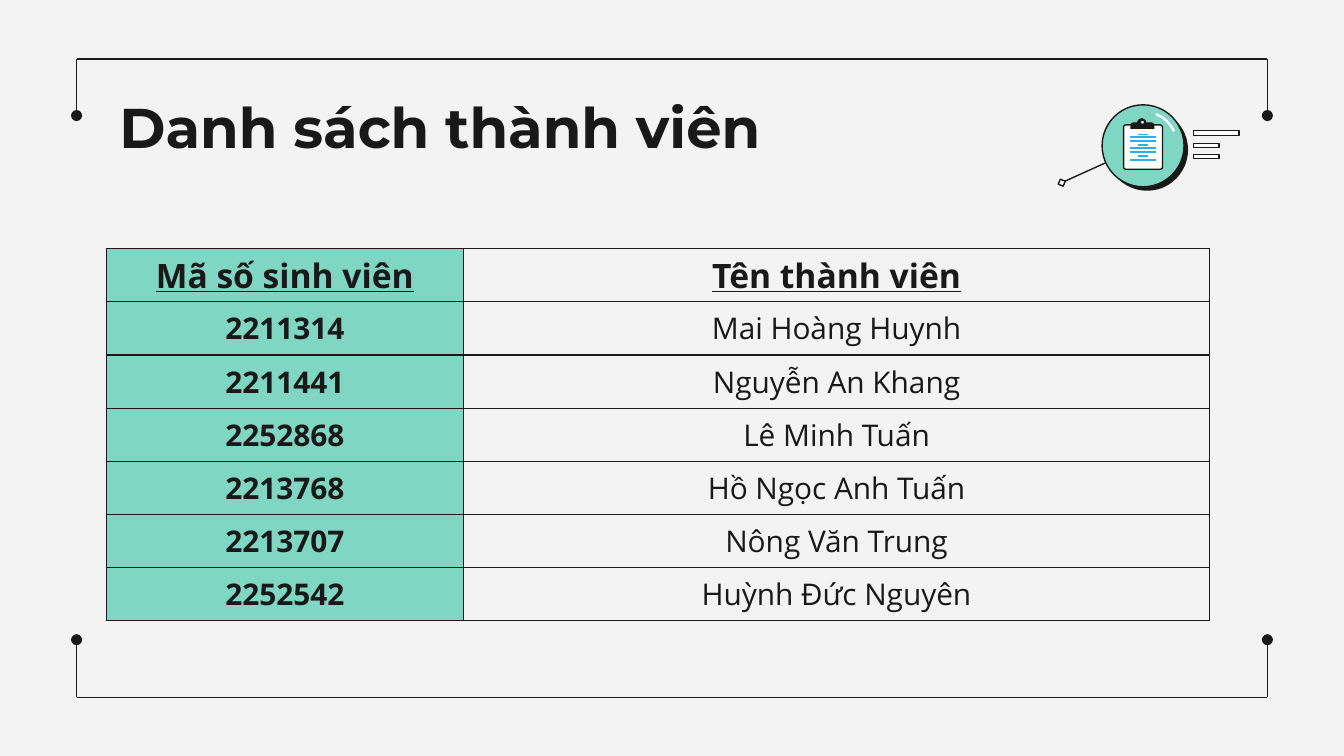
from lxml import etree
from pptx import Presentation
from pptx.dml.color import RGBColor
from pptx.enum.shapes import MSO_CONNECTOR, MSO_SHAPE
from pptx.enum.text import MSO_ANCHOR, PP_ALIGN
from pptx.oxml.ns import qn
from pptx.util import Inches, Pt

STRAIGHT = MSO_CONNECTOR.STRAIGHT
OVAL, RECT, ARC = MSO_SHAPE.OVAL, MSO_SHAPE.RECTANGLE, MSO_SHAPE.ARC
ROUNDED, CLASP = MSO_SHAPE.ROUNDED_RECTANGLE, MSO_SHAPE.ROUND_2_SAME_RECTANGLE
MIDDLE, CENTER = MSO_ANCHOR.MIDDLE, PP_ALIGN.CENTER

SLIDE_SIZE = (10, 10 * 9 / 16)
INK, MINT, PAPER, WHITE, BLUE = "191919", "7FD6C3", "F3F3F3", "FFFFFF", "2AAFEB"
TITLE = "Danh sách thành viên"
ROWS = [
    ("Mã số sinh viên", "Tên thành viên"),
    ("2211314", "Mai Hoàng Huynh"),
    ("2211441", "Nguyễn An Khang"),
    ("2252868", "Lê Minh Tuấn"),
    ("2213768", "Hồ Ngọc Anh Tuấn"),
    ("2213707", "Nông Văn Trung"),
    ("2252542", "Huỳnh Đức Nguyên"),
]
TABLE_BOX = (0.79, 1.85, 8.21, 2.77)
COLUMN_WIDTHS = (2.66, 5.55)
FRAME_LEFT, FRAME_RIGHT = 0.57, 9.43
FRAME_ENDS = [(0.44, 0.86), (5.19, 4.76)]
ICON_PARTS = [
    (RECT, (8.88, 0.97, 0.34, 0.04), WHITE, INK, 0),
    (RECT, (8.88, 1.07, 0.19, 0.03), WHITE, INK, 0),
    (RECT, (8.88, 1.15, 0.19, 0.03), WHITE, INK, 0),
    (RECT, (7.88, 1.34, 0.04, 0.04), WHITE, INK, 23),
    (OVAL, (8.23, 0.81, 0.61, 0.61), INK, None, 0),
    (OVAL, (8.2, 0.78, 0.61, 0.61), MINT, INK, 0),
    (ROUNDED, (8.36, 0.93, 0.29, 0.33), WHITE, INK, 0),
    (CLASP, (8.41, 0.91, 0.18, 0.05), INK, None, 0),
    (OVAL, (8.46, 0.88, 0.07, 0.07), INK, None, 0),
    (OVAL, (8.49, 0.9, 0.02, 0.02), WHITE, None, 0),
]
WIDE, NARROW = (8.41, 8.6), (8.47, 8.54)
CLIPBOARD_LINES = [
    (1.0, NARROW), (1.02, WIDE), (1.05, WIDE), (1.08, NARROW),
    (1.1, WIDE), (1.13, WIDE), (1.16, NARROW), (1.19, WIDE),
]


def color(value):
    return RGBColor.from_string(value)


def lengths(values):
    return [Inches(value) for value in values]


def add_line(page, start, end, ink=INK, dot=False):
    line = page.shapes.add_connector(STRAIGHT, *lengths(start + end))
    line.line.color.rgb = color(ink)
    line.line.width = Pt(0.75)
    if dot:
        etree.SubElement(line.line._get_or_add_ln(), qn("a:tailEnd"), type="oval")
    etree.SubElement(line._element.spPr, qn("a:effectLst"))


def add_part(page, kind, box, fill, outline, turn=0, width=0.75):
    part = page.shapes.add_shape(kind, *lengths(box))
    part.shadow.inherit = False
    part.rotation = turn
    if fill:
        part.fill.solid()
        part.fill.fore_color.rgb = color(fill)
    else:
        part.fill.background()
    if outline:
        part.line.color.rgb = color(outline)
        part.line.width = Pt(width)
    else:
        part.line.fill.background()
    return part


def write(para, text, font, **formats):
    span = para.add_run()
    span.text = text
    span.font.color.rgb = color(INK)
    for name, value in dict(name=font, **formats).items():
        setattr(span.font, name, value)


def add_borders(cell):
    properties = cell._tc.get_or_add_tcPr()
    for index, side in enumerate(("lnL", "lnR", "lnT", "lnB")):
        border = etree.Element(qn(f"a:{side}"), w=str(Pt(0.75)))
        fill = etree.SubElement(border, qn("a:solidFill"))
        etree.SubElement(fill, qn("a:srgbClr"), val=INK)
        properties.insert(index, border)


def add_members(page):
    table = page.shapes.add_table(len(ROWS), 2, *lengths(TABLE_BOX)).table
    for column, width in zip(table.columns, COLUMN_WIDTHS):
        column.width = Inches(width)
    for r, row in enumerate(ROWS):
        for c, text in enumerate(row):
            cell = table.cell(r, c)
            cell.margin_top = cell.margin_bottom = 0
            cell.vertical_anchor = MIDDLE
            if c == 0:
                cell.fill.solid()
                cell.fill.fore_color.rgb = color(MINT)
            else:
                cell.fill.background()
            add_borders(cell)
            para = cell.text_frame.paragraphs[0]
            para.alignment = CENTER
            header = r == 0
            write(para, text, "Open Sans", size=Pt(18 if header else 16),
                  bold=header or c == 0, underline=header)


def add_icon(page):
    add_line(page, (8.23, 1.21), (7.92, 1.35))
    for kind, box, fill, outline, turn in ICON_PARTS:
        part = add_part(page, kind, box, fill, outline, turn)
        if kind == ROUNDED:
            part.adjustments[0] = 0.06
        elif kind == CLASP:
            part.adjustments[0] = 0.5
    shine = add_part(page, ARC, (8.25, 0.83, 0.51, 0.51), None, WHITE, width=1.25)
    for index, degrees in enumerate((292, 335)):
        shine.adjustments[index] = degrees * 0.6
    for y, (left, right) in CLIPBOARD_LINES:
        add_line(page, (left, y), (right, y), BLUE)


def main():
    deck = Presentation()
    deck.slide_width, deck.slide_height = lengths(SLIDE_SIZE)
    page = deck.slides.add_slide(deck.slide_layouts[6])
    page.background.fill.solid()
    page.background.fill.fore_color.rgb = color(PAPER)

    for edge, tip in FRAME_ENDS:
        add_line(page, (FRAME_LEFT, edge), (FRAME_RIGHT, edge))
        for x in (FRAME_LEFT, FRAME_RIGHT):
            add_line(page, (x, edge), (x, tip), dot=True)

    frame = page.shapes.add_textbox(*lengths((0.79, 0.59, 8.43, 0.63))).text_frame
    frame.word_wrap = True
    for side in ("left", "top", "right", "bottom"):
        setattr(frame, f"margin_{side}", Inches(0.1))
    write(frame.paragraphs[0], TITLE, "Montserrat", size=Pt(30), bold=True)

    add_members(page)
    add_icon(page)
    deck.save("out.pptx")


if __name__ == "__main__":
    main()
